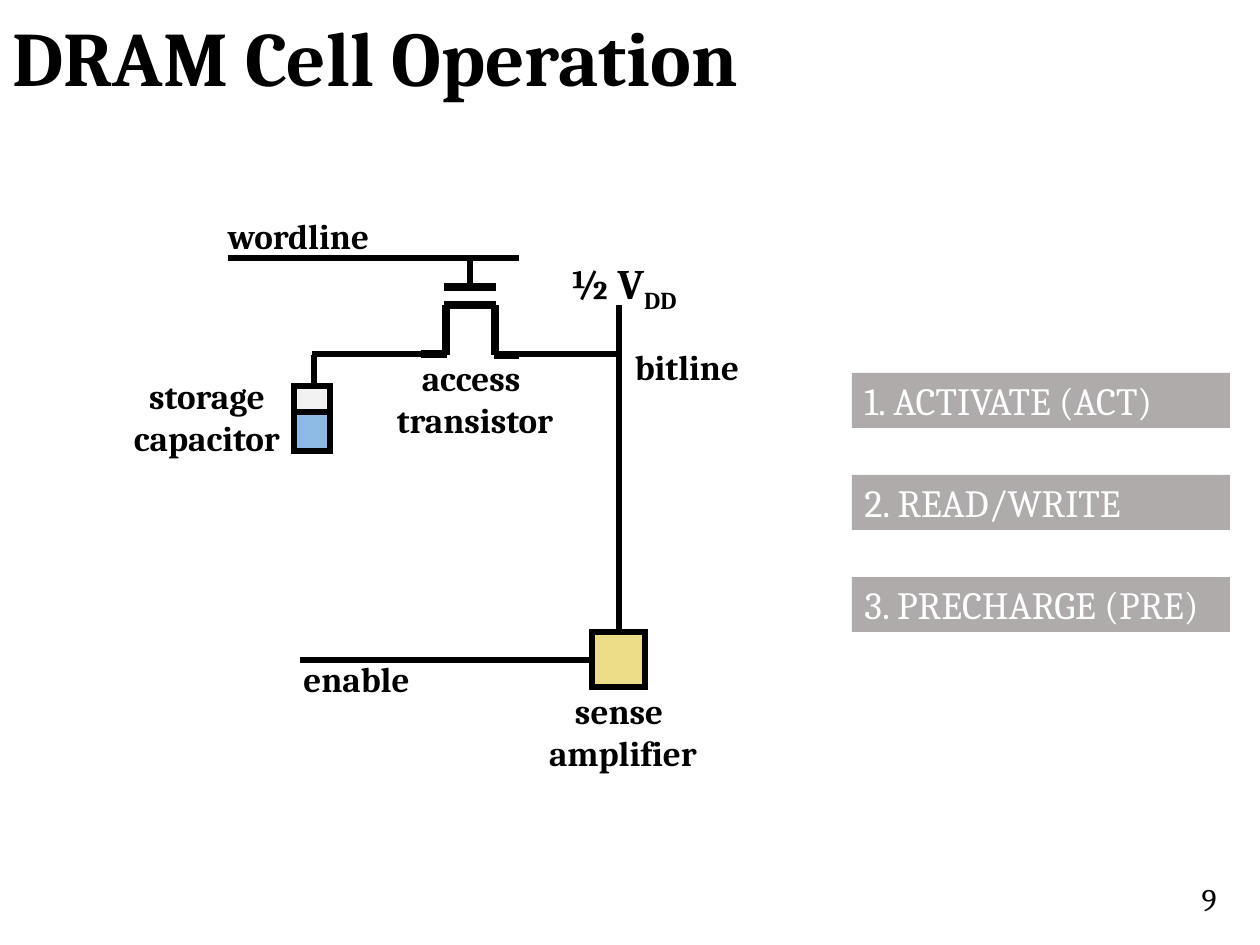
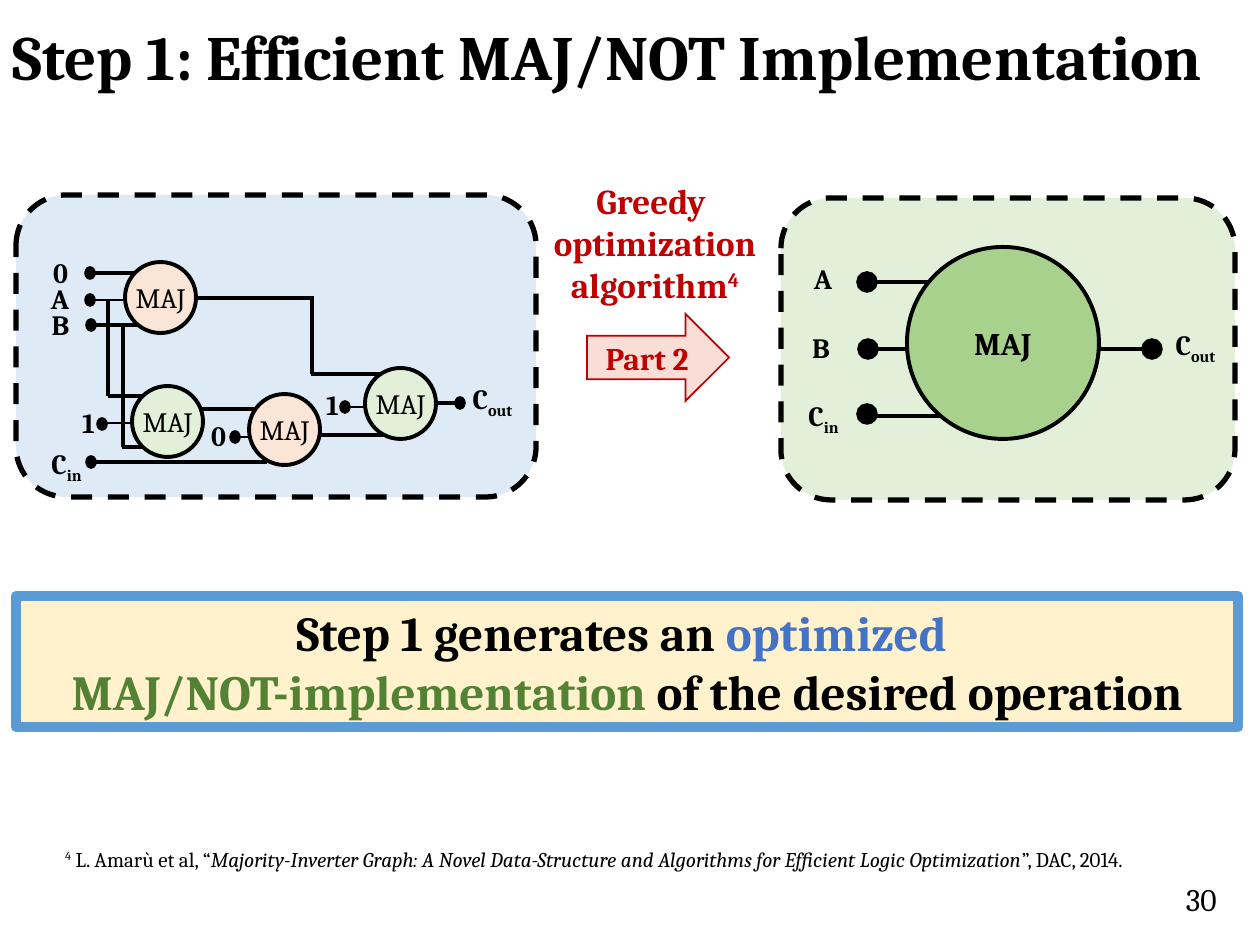
from dataclasses import dataclass
from typing import NamedTuple

from lxml.etree import SubElement
from pptx import Presentation
from pptx.dml.color import RGBColor
from pptx.enum.dml import MSO_LINE_DASH_STYLE as Dash
from pptx.enum.shapes import MSO_CONNECTOR, MSO_SHAPE as Form
from pptx.enum.text import MSO_ANCHOR as Anchor, MSO_AUTO_SIZE as AutoSize, PP_ALIGN as Align
from pptx.oxml.ns import qn
from pptx.slide import Slide
from pptx.text.text import TextFrame
from pptx.util import Pt

EMU_PER_PIXEL = 914400 / 126
FONT = "Cambria"
BLACK = RGBColor(0x00, 0x00, 0x00)
WHITE = RGBColor(0xFF, 0xFF, 0xFF)
COMMAND_GRAY = RGBColor(0xAF, 0xAB, 0xAB)
EMPTY_GRAY = RGBColor(0xF2, 0xF2, 0xF2)
CHARGE_BLUE = RGBColor(0x8D, 0xBA, 0xE4)
AMPLIFIER_YELLOW = RGBColor(0xEE, 0xDD, 0x88)
RED = RGBColor(0xC0, 0x00, 0x00)
PALE_RED = RGBColor(0xF9, 0xDE, 0xD7)
CREAM = RGBColor(0xFF, 0xF2, 0xCC)
FRAME_BLUE = RGBColor(0x5B, 0x9B, 0xD5)
WORD_BLUE = RGBColor(0x44, 0x72, 0xC4)
WORD_GREEN = RGBColor(0x54, 0x82, 0x35)
PALE_BLUE = RGBColor(0xDE, 0xEB, 0xF7)
PALE_GREEN = RGBColor(0xE2, 0xF0, 0xD9)
GATE_GREEN = RGBColor(0xA9, 0xD1, 0x8E)
GATE_PEACH = RGBColor(0xFB, 0xE5, 0xD6)


class Piece(NamedTuple):
    """A stretch of text that may differ from its surroundings."""
    text: str
    color: RGBColor | None = None
    baseline: int = 0
    italic: bool = False


Lines = list[list[Piece]]


class Area(NamedTuple):
    """A rectangle in pixels."""
    left: int
    top: int
    width: int
    height: int


class Wire(NamedTuple):
    """A straight circuit line in pixels, with its weight in points."""
    x1: int
    y1: int
    x2: int
    y2: int
    weight: float


@dataclass(frozen=True)
class Style:
    """The look of a block of text."""
    size: int
    color: RGBColor = BLACK
    bold: bool = True
    align: Align = Align.CENTER
    spacing: float = 1.0


@dataclass(frozen=True)
class Box:
    """A preset shape with its fill and outline."""
    area: Area
    fill: RGBColor
    weight: float = 0
    form: Form = Form.RECTANGLE
    stroke: RGBColor = BLACK
    dashed: bool = False
    miter: bool = True


@dataclass(frozen=True)
class Label:
    """A free text beside a part of the diagram."""
    area: Area
    text: str | Lines
    style: Style
    wrap: bool = False
    grow: bool = True
    anchor: Anchor = Anchor.TOP


PART = Style(20)
SIGNAL = Style(16)
GATE = Style(16, bold=False)


def emu(*pixels: int) -> list[int]:
    """Turn pixels into EMU."""
    return [round(pixel * EMU_PER_PIXEL) for pixel in pixels]


def write(frame: TextFrame, text: str | Lines, style: Style) -> None:
    """Fill a frame with styled lines."""
    lines = [[Piece(line)] for line in text.split("\n")] if isinstance(text, str) else text
    frame.text = "\n".join(line[0].text for line in lines)
    for paragraph, line in zip(frame.paragraphs, lines):
        paragraph.alignment = style.align
        paragraph.line_spacing = style.spacing
        for piece in line[1:]:
            paragraph.add_run().text = piece.text
        for run, piece in zip(paragraph.runs, line):
            font = run.font
            font.name, font.size, font.bold = FONT, Pt(style.size), style.bold
            font.italic = piece.italic
            font.color.rgb = piece.color or style.color
            if piece.baseline:
                run._r.get_or_add_rPr().set("baseline", str(piece.baseline * 1000))


def draw_label(slide: Slide, label: Label) -> None:
    """Draw a text box."""
    frame = slide.shapes.add_textbox(*emu(*label.area)).text_frame
    frame.word_wrap = label.wrap
    frame.auto_size = AutoSize.SHAPE_TO_FIT_TEXT if label.grow else AutoSize.NONE
    frame.vertical_anchor = label.anchor
    write(frame, label.text, label.style)


def draw_box(slide: Slide, box: Box) -> TextFrame:
    """Draw a shape and return its text frame."""
    shape = slide.shapes.add_shape(box.form, *emu(*box.area))
    shape.shadow.inherit = False
    shape.fill.solid()
    shape.fill.fore_color.rgb = box.fill
    if box.weight:
        shape.line.color.rgb = box.stroke
        shape.line.width = Pt(box.weight)
        if box.dashed:
            shape.line.dash_style = Dash.DASH
        if box.miter:
            SubElement(shape.line._get_or_add_ln(), qn("a:miter"), lim="800000")
    else:
        shape.line.fill.background()
    frame = shape.text_frame
    frame.word_wrap = True
    frame.vertical_anchor = Anchor.MIDDLE
    return frame


def draw_wire(slide: Slide, wire: Wire) -> None:
    """Draw a black line without a shadow."""
    line = slide.shapes.add_connector(
        MSO_CONNECTOR.STRAIGHT, *emu(wire.x1, wire.y1, wire.x2, wire.y2))
    line.line.color.rgb = BLACK
    line.line.width = Pt(wire.weight)
    SubElement(line._element.spPr, qn("a:effectLst"))


def draw_wires(slide: Slide, weight: float, ends: list[tuple[int, int, int, int]]) -> None:
    """Draw lines of one weight."""
    for end in ends:
        draw_wire(slide, Wire(*end, weight))


def draw_terminals(slide: Slide, width: int, height: int, corners: list[tuple[int, int]]) -> None:
    """Draw black dots of one size at their left top corners."""
    for left, top in corners:
        draw_box(slide, Box(Area(left, top, width, height), BLACK, 2, Form.FLOWCHART_CONNECTOR))


def draw_gate(slide: Slide, left: int, top: int, size: int, fill: RGBColor, style: Style) -> None:
    """Draw a round majority gate."""
    frame = draw_box(slide, Box(Area(left, top, size, size), fill, 2.25, Form.OVAL))
    frame.margin_left = frame.margin_right = frame.margin_top = frame.margin_bottom = 0
    write(frame, "MAJ", style)


def draw_signals(slide: Slide, names: list[tuple[str, str, int, int, int]]) -> None:
    """Draw signal names, each with an optional subscript."""
    for name, subscript, left, top, width in names:
        pieces = [Piece(name)] + ([Piece(subscript, baseline=-25)] if subscript else [])
        draw_label(slide, Label(Area(left, top, width, 47), [pieces], SIGNAL))


def start_slide(deck: Presentation, title: Label, number: str) -> Slide:
    """Add a slide with its title and page number."""
    slide = deck.slides.add_slide(deck.slide_layouts[6])
    draw_label(slide, title)
    draw_label(slide, Label(Area(757, 874, 472, 50), number,
                            Style(18, bold=False, align=Align.RIGHT), wrap=True, grow=False))
    return slide


def build_cell_slide(deck: Presentation) -> None:
    """Build the DRAM cell circuit and its three commands."""
    title = Label(Area(0, 11, 1239, 102), "DRAM Cell Operation",
                  Style(44, align=Align.LEFT, spacing=0.9), True, False, Anchor.MIDDLE)
    slide = start_slide(deck, title, "9")
    draw_wires(slide, 3, [
        (228, 258, 519, 258), (470, 287, 470, 258), (619, 305, 619, 640), (314, 355, 314, 394),
        (312, 354, 433, 354), (496, 354, 619, 354), (300, 660, 592, 660)])
    draw_wires(slide, 4.5, [
        (421, 354, 447, 354), (446, 355, 446, 305), (444, 287, 496, 287),
        (495, 355, 495, 305), (444, 305, 496, 305), (494, 355, 519, 355)])
    draw_box(slide, Box(Area(294, 386, 36, 65), EMPTY_GRAY, 3))
    draw_box(slide, Box(Area(294, 412, 36, 39), CHARGE_BLUE, 3))
    draw_box(slide, Box(Area(592, 632, 53, 55), AMPLIFIER_YELLOW, 3))
    for name, area in [
        ("wordline", Area(212, 208, 173, 55)),
        ("bitline", Area(621, 339, 132, 55)),
        ("enable", Area(289, 651, 135, 55)),
        ("storage\ncapacitor", Area(118, 368, 178, 97)),
        ("access \ntransistor", Area(382, 350, 186, 97)),
        ("sense \namplifier", Area(488, 683, 270, 97)),
    ]:
        draw_label(slide, Label(area, name, PART))
    draw_label(slide, Label(Area(558, 251, 173, 63), [[Piece("½ V"), Piece("DD", baseline=-25)]],
                            Style(24, align=Align.LEFT), wrap=True))
    command_style = Style(22, WHITE, False, Align.JUSTIFY)
    for row, command in enumerate(["1. ACTIVATE (ACT)", "2. READ/WRITE ", "3. PRECHARGE (PRE)"]):
        write(draw_box(slide, Box(Area(852, 373 + 102 * row, 378, 55), COMMAND_GRAY)),
              command, command_style)


def draw_first_circuit(slide: Slide) -> None:
    """Draw the four-gate circuit in the left panel."""
    draw_box(slide, Box(Area(16, 195, 520, 302), PALE_BLUE, 3, Form.ROUNDED_RECTANGLE, dashed=True))
    draw_wires(slide, 2, [
        (135, 273, 94, 273), (145, 325, 94, 325), (314, 298, 195, 298), (267, 462, 91, 462),
        (401, 435, 316, 435), (142, 396, 108, 396), (147, 447, 122, 447), (265, 409, 200, 409),
        (108, 300, 108, 396), (123, 324, 123, 447), (393, 374, 311, 374), (436, 403, 464, 403),
        (312, 374, 312, 299)])
    draw_wires(slide, 1.5, [
        (91, 300, 125, 300), (237, 437, 249, 437), (346, 407, 367, 407), (134, 423, 101, 423)])
    draw_terminals(slide, 8, 10, [
        (86, 268), (86, 295), (87, 320), (87, 457), (98, 419), (231, 432), (341, 402), (456, 398)])
    for left, top, fill in [(125, 262, GATE_PEACH), (132, 386, PALE_GREEN),
                            (249, 394, GATE_PEACH), (365, 368, PALE_GREEN)]:
        draw_gate(slide, left, top, 71, fill, GATE)
    draw_signals(slide, [
        ("0", "", 39, 249, 43), ("A", "", 38, 275, 44), ("B", "", 38, 301, 45),
        ("1", "", 67, 399, 43), ("0", "", 197, 412, 43), ("1", "", 311, 381, 43),
        ("C", "in", 37, 440, 59), ("C", "out", 457, 375, 71)])


def draw_optimized_circuit(slide: Slide) -> None:
    """Draw the single-gate circuit in the right panel."""
    draw_box(slide, Box(Area(781, 198, 454, 302), PALE_GREEN, 3, Form.ROUNDED_RECTANGLE, dashed=True))
    draw_wires(slide, 2, [
        (1155, 349, 1070, 349), (960, 282, 874, 282), (960, 349, 874, 349), (954, 416, 869, 416)])
    draw_terminals(slide, 18, 18, [(1143, 340), (858, 273), (859, 340), (858, 405)])
    draw_gate(slide, 907, 247, 192, GATE_GREEN, Style(18))
    draw_signals(slide, [
        ("A", "", 801, 255, 44), ("B", "", 799, 324, 44),
        ("C", "in", 794, 392, 59), ("C", "out", 1160, 321, 71)])


def build_step_slide(deck: Presentation) -> None:
    """Build the optimization step with both circuits, banner and citation."""
    title = Label(Area(0, 4, 1270, 102), "Step 1: Efficient MAJ/NOT Implementation",
                  Style(36, align=Align.LEFT), True, False, Anchor.MIDDLE)
    slide = start_slide(deck, title, "30")
    part = draw_box(slide, Box(Area(587, 314, 142, 87), PALE_RED, 1, Form.RIGHT_ARROW, RED))
    write(part, "Part 2", Style(18, RED))
    banner = draw_box(slide, Box(Area(16, 596, 1222, 131), CREAM, 6, stroke=FRAME_BLUE, miter=False))
    write(banner, [
        [Piece("Step 1 generates an "), Piece("optimized ", WORD_BLUE)],
        [Piece("MAJ/NOT-implementation ", WORD_GREEN), Piece("of the desired operation")],
    ], Style(28))
    draw_optimized_circuit(slide)
    draw_first_circuit(slide)
    draw_label(slide, Label(Area(524, 173, 262, 140), [
        [Piece("Greedy ")], [Piece("optimization")], [Piece("algorithm"), Piece("4", baseline=30)],
    ], Style(20, RED), wrap=True))
    draw_label(slide, Label(Area(48, 840, 1164, 38), [[
        Piece("\u00a0"), Piece("4", baseline=30), Piece("\u00a0L. Amarù et al, “"),
        Piece("Majority-Inverter Graph: A Novel Data-Structure and Algorithms "
              "for Efficient Logic Optimization", italic=True),
        Piece("”, DAC, 2014."),
    ]], Style(12, bold=False, align=Align.LEFT)))


def main() -> None:
    """Build and save the deck."""
    deck = Presentation()
    deck.slide_width, deck.slide_height = emu(1260, 945)
    build_cell_slide(deck)
    build_step_slide(deck)
    deck.save("out.pptx")


main()
